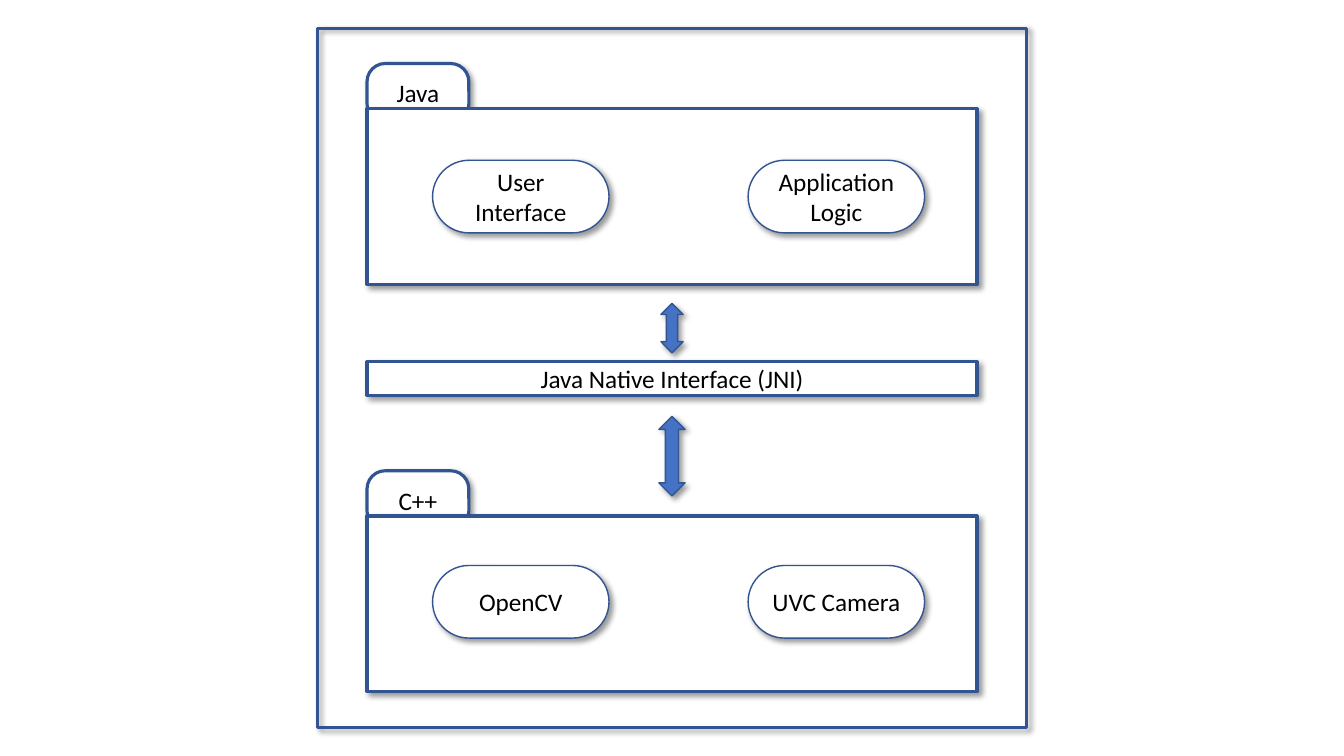
from dataclasses import dataclass

from lxml import etree
from pptx import Presentation
from pptx.dml.color import RGBColor
from pptx.enum import shapes, text
from pptx.oxml.ns import qn
from pptx.util import Inches, Pt

KIND = shapes.MSO_SHAPE


@dataclass(frozen=True)
class Theme:
    """Colours, type and line widths of the diagram."""
    paper: str = "FFFFFF"
    outline: str = "325491"
    arrow: str = "4472C4"
    ink: str = "000000"
    font: str = "Calibri"
    size: float = 18
    thick: float = 2.25
    thin: float = 1


THEME = Theme()


def set_values(target, values):
    """Set each named attribute of target."""
    for name, value in values.items():
        setattr(target, name, value)


def add_shadow(shape):
    """Give the shape a soft shadow to the lower right."""
    shape.shadow.inherit = False
    effects = shape._element.spPr.find(qn("a:effectLst"))
    shadow = etree.SubElement(effects, qn("a:outerShdw"), blurRad=str(Pt(4)),
                              dist=str(Pt(3)), dir=str(45 * 60000), algn="tl", rotWithShape="0")
    color = etree.SubElement(shadow, qn("a:srgbClr"), val=THEME.ink)
    etree.SubElement(color, qn("a:alpha"), val="40000")


def add_block(slide, box, label="", kind=KIND.ROUNDED_RECTANGLE, rounding=0,
              fill=THEME.paper, width=THEME.thick):
    """Draw one outlined, shadowed shape with an optional centred label."""
    shape = slide.shapes.add_shape(kind, *map(Inches, box))
    if kind == KIND.ROUNDED_RECTANGLE:
        shape.adjustments[0] = rounding
    if fill:
        shape.fill.solid()
        shape.fill.fore_color.rgb = RGBColor.from_string(fill)
    else:
        shape.fill.background()
    shape.line.color.rgb = RGBColor.from_string(THEME.outline)
    shape.line.width = Pt(width)
    add_shadow(shape)
    if label:
        frame = shape.text_frame
        set_values(frame, {"word_wrap": True, "vertical_anchor": text.MSO_ANCHOR.MIDDLE})
        paragraph = frame.paragraphs[0]
        paragraph.alignment = text.PP_ALIGN.CENTER
        run = paragraph.add_run()
        run.text = label
        set_values(run.font, {"name": THEME.font, "size": Pt(THEME.size)})
        run.font.color.rgb = RGBColor.from_string(THEME.ink)


def add_package(slide, box, name, components, component_top):
    """Draw a tabbed package panel with a row of component pills."""
    left, top, _, _ = box
    add_block(slide, (left, top - 0.45, 1.01, 0.58), name, rounding=0.311)
    add_block(slide, box)
    for index, component in enumerate(components):
        pill = (left + 0.65 + index * 3.13, top + component_top, 1.75, 0.72)
        add_block(slide, pill, component, rounding=0.5, width=THEME.thin)


def add_arrow(slide, center, top, width, height):
    """Draw a two-way arrow centred on a vertical axis."""
    add_block(slide, (center - width / 2, top, width, height),
              kind=KIND.UP_DOWN_ARROW, fill=THEME.arrow, width=THEME.thin)


def add_architecture(slide, box):
    """Draw the framed layers: Java, the native interface and C++."""
    left, top, width, _ = box
    inset = 0.49
    inner_left, inner_width = left + inset, width - 2 * inset
    center = left + width / 2
    add_block(slide, box, fill=None)
    layers = [
        ("Java", 0.8, ("User Interface", "Application Logic"), 0.51),
        ("C++", 4.84, ("OpenCV", "UVC Camera"), 0.49),
    ]
    for name, offset, components, component_top in layers:
        panel = (inner_left, top + offset, inner_width, 1.74)
        add_package(slide, panel, name, components, component_top)
    add_block(slide, (inner_left, top + 3.31, inner_width, 0.33), "Java Native Interface (JNI)")
    add_arrow(slide, center, top + 2.73, 0.22, 0.49)
    add_arrow(slide, center, top + 3.85, 0.26, 0.79)


def main():
    """Build and save the presentation."""
    presentation = Presentation()
    set_values(presentation, {"slide_width": Inches(13.33), "slide_height": Inches(7.5)})
    slide = presentation.slides.add_slide(presentation.slide_layouts[6])
    add_architecture(slide, (3.15, 0.28, 7.03, 6.94))
    presentation.save("out.pptx")


main()
